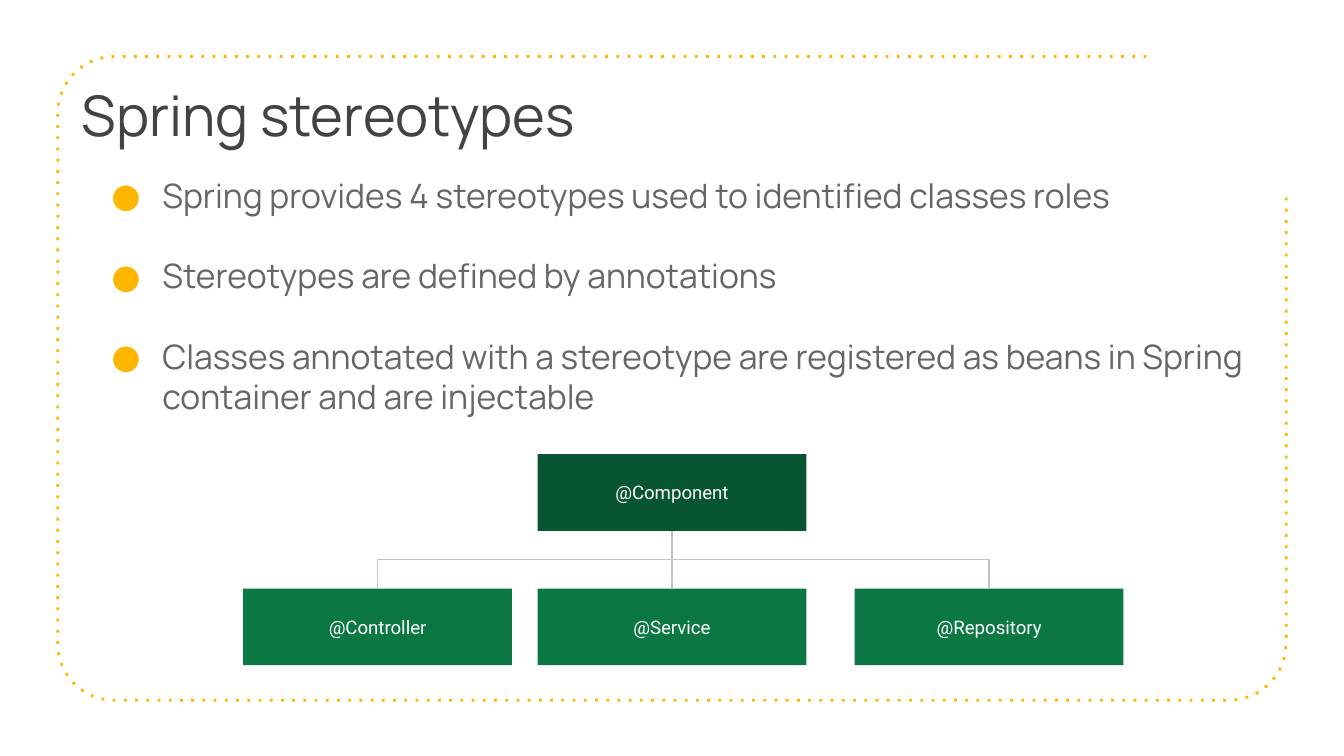
from dataclasses import dataclass
from math import cos, radians, sin

from lxml.etree import SubElement
from pptx import Presentation
from pptx.dml.color import RGBColor as Color
from pptx.enum.shapes import MSO_AUTO_SHAPE_TYPE as ShapeKind, MSO_CONNECTOR_TYPE as ConnectorKind
from pptx.enum.text import MSO_VERTICAL_ANCHOR as Anchor, PP_PARAGRAPH_ALIGNMENT as Align
from pptx.oxml.ns import qn
from pptx.util import Inches, Pt

TOP, BOTTOM = 0, 2


@dataclass(frozen=True)
class Theme:
    accent: Color = Color.from_string("FFB600")
    heading: Color = Color.from_string("434343")
    body: Color = Color.from_string("666666")
    parent: Color = Color.from_string("085631")
    child: Color = Color.from_string("0B7743")
    label: Color = Color.from_string("FFFFFF")
    link: Color = Color.from_string("C2C2C2")
    text_font: str = "Manrope"
    label_font: str = "Roboto"
    heading_size: Pt = Pt(30)
    body_size: Pt = Pt(18)
    label_size: Pt = Pt(10)
    bullet_gap: Pt = Pt(21.6)
    frame_width: Pt = Pt(1.5)
    link_width: Pt = Pt(0.75)
    inset: Inches = Inches(0.1)


def apply(target, values):
    for name, value in values.items():
        setattr(target, name, value)


class SlideBuilder:
    """Draws styled elements on the current slide."""

    def __init__(self, slide, theme):
        self.slide, self.theme = slide, theme
        self.shapes = slide.shapes

    def set_text(self, shape, texts, font, color, frame=None, paragraph_format=None):
        text_frame = shape.text_frame
        margins = dict.fromkeys(
            ("margin_left", "margin_top", "margin_right", "margin_bottom"), self.theme.inset)
        apply(text_frame, {"word_wrap": True, **margins, **(frame or {})})
        for index, text in enumerate(texts):
            paragraph = text_frame.add_paragraph() if index else text_frame.paragraphs[0]
            apply(paragraph, paragraph_format or {})
            run = paragraph.add_run()
            run.text = text
            apply(run.font, font)
            run.font.color.rgb = color
        return text_frame.paragraphs

    def frame(self, left, top, right, bottom, radius, open_x, open_y):
        corners = (
            (left + radius, top + radius, 270),
            (left + radius, bottom - radius, 180),
            (right - radius, bottom - radius, 90),
        )
        points = [
            (x + radius * cos(radians(start - 90 * step / 8)),
             y + radius * sin(radians(start - 90 * step / 8)))
            for x, y, start in corners for step in range(9)
        ] + [(right, open_y)]
        builder = self.shapes.build_freeform(Inches(open_x), Inches(top))
        builder.add_line_segments([(Inches(x), Inches(y)) for x, y in points], close=False)
        shape = builder.convert_to_shape()
        shape.shadow.inherit = False
        shape.fill.background()
        shape.line.color.rgb = self.theme.accent
        shape.line.width = self.theme.frame_width
        SubElement(shape.line._get_or_add_ln(), qn("a:prstDash"), val="dot")

    def title(self, text, *box):
        shape = self.shapes.add_textbox(*map(Inches, box))
        font = {"name": self.theme.text_font, "size": self.theme.heading_size}
        self.set_text(shape, [text], font, self.theme.heading)

    def bullets(self, texts, *box):
        theme = self.theme
        shape = self.shapes.add_textbox(*map(Inches, box))
        font = {"name": theme.text_font, "size": theme.body_size}
        paragraphs = self.set_text(shape, texts, font, theme.body,
                                   paragraph_format={"space_after": theme.bullet_gap})
        for paragraph in paragraphs:
            properties = paragraph._p.get_or_add_pPr()
            properties.set("marL", str(Inches(0.5)))
            properties.set("indent", str(Inches(-0.38)))
            bullet_color = SubElement(properties, qn("a:buClr"))
            SubElement(bullet_color, qn("a:srgbClr"), val=str(theme.accent))
            SubElement(properties, qn("a:buFont"), typeface=theme.text_font)
            SubElement(properties, qn("a:buChar"), char="●")

    def box(self, text, color, left, top):
        shape = self.shapes.add_shape(
            ShapeKind.RECTANGLE, *map(Inches, (left, top, 2, 0.57)))
        shape.shadow.inherit = False
        shape.fill.solid()
        shape.fill.fore_color.rgb = color
        shape.line.fill.background()
        font = {"name": self.theme.label_font, "size": self.theme.label_size}
        self.set_text(shape, [text], font, self.theme.label,
                      {"vertical_anchor": Anchor.MIDDLE}, {"alignment": Align.CENTER})
        return shape

    def link(self, child, parent):
        straight = child.left == parent.left
        kind = ConnectorKind.STRAIGHT if straight else ConnectorKind.ELBOW
        connector = self.shapes.add_connector(kind, 0, 0, 0, 0)
        connector.begin_connect(child, TOP)
        connector.end_connect(parent, BOTTOM)
        connector.line.color.rgb = self.theme.link
        connector.line.width = self.theme.link_width
        properties = connector._element.spPr
        SubElement(properties, qn("a:effectLst"))
        if not straight:
            self.turn_upright(connector, properties.xfrm)

    def turn_upright(self, connector, transform):
        leftward = connector.begin_x > connector.end_x
        center_x = (connector.begin_x + connector.end_x) // 2
        center_y = (connector.begin_y + connector.end_y) // 2
        width, height = connector.height, connector.width
        apply(connector, {"left": center_x - width // 2, "top": center_y - height // 2,
                          "width": width, "height": height})
        apply(transform, {"rot": 90 if leftward else 270, "flipH": leftward, "flipV": False})


def main():
    presentation = Presentation()
    width = Inches(10)
    apply(presentation, {"slide_width": width, "slide_height": width * 9 // 16})
    theme = Theme()
    builder = SlideBuilder(presentation.slides.add_slide(presentation.slide_layouts[6]), theme)

    builder.frame(0.43, 0.42, 9.57, 5.21, radius=0.42, open_x=8.53, open_y=1.46)
    builder.title("Spring stereotypes", 0.51, 0.5, 8.86, 0.94)
    builder.bullets([
        "Spring provides 4 stereotypes used to identified classes roles",
        "Stereotypes are defined by annotations",
        "Classes annotated with a stereotype are registered as beans in Spring "
        "container and are injectable",
    ], 0.61, 1.2, 8.78, 3.33)

    component = builder.box("@Component", theme.parent, 4, 3.38)
    stereotypes = {"@Controller": 1.81, "@Service": 4, "@Repository": 6.36}
    for name, left in stereotypes.items():
        builder.link(builder.box(name, theme.child, left, 4.38), component)

    presentation.save("out.pptx")


if __name__ == "__main__":
    main()
